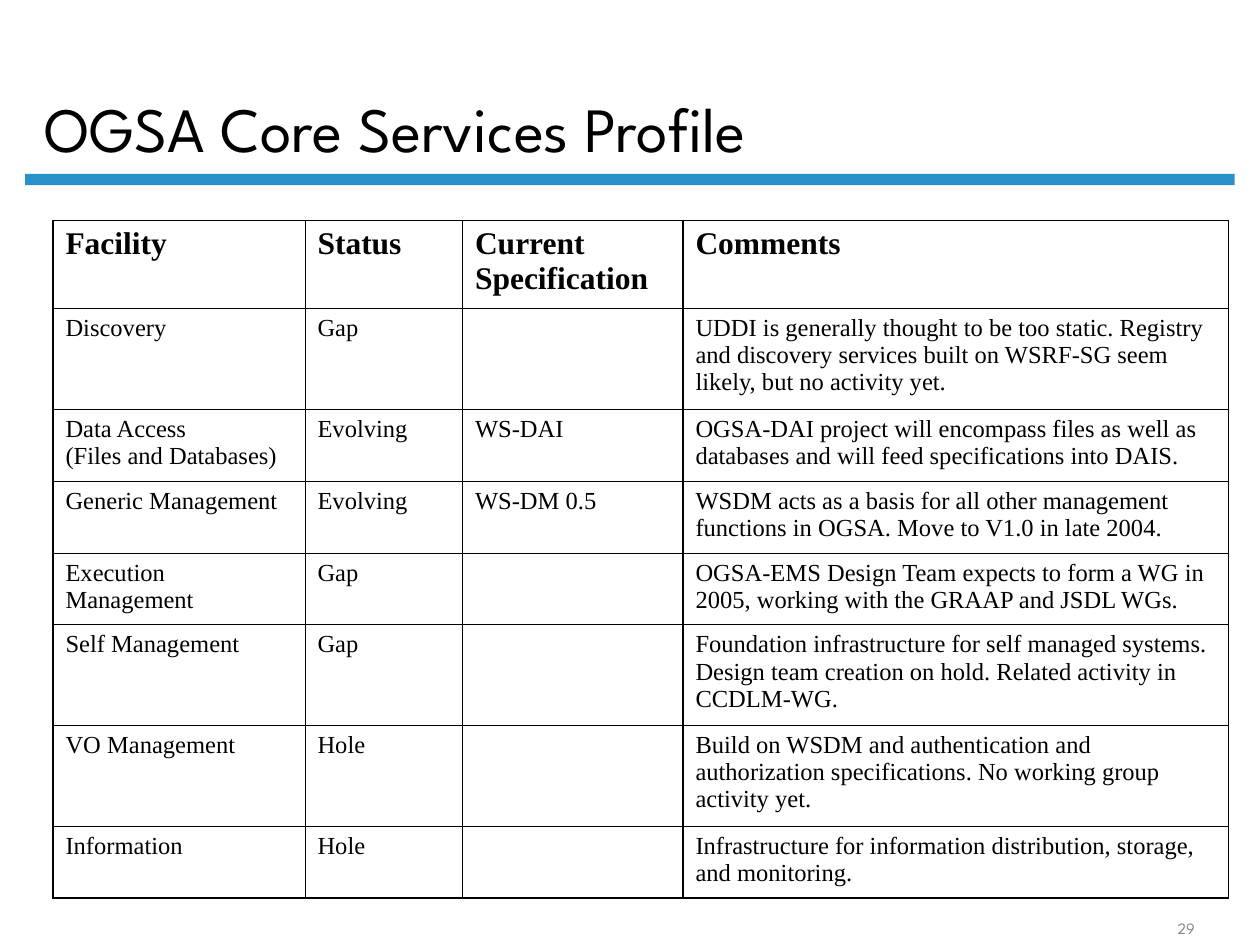
from lxml.etree import SubElement
from pptx import Presentation
from pptx.dml.color import RGBColor
from pptx.enum.shapes import MSO_SHAPE as Shape
from pptx.enum.text import MSO_ANCHOR as Anchor, MSO_AUTO_SIZE as AutoSize, PP_ALIGN as Align
from pptx.oxml.ns import qn
from pptx.util import Inches, Pt

BLACK = RGBColor(0x00, 0x00, 0x00)
BLUE = RGBColor(0x29, 0x90, 0xCA)
GRAY = RGBColor(0x84, 0x85, 0x89)

THIN, OUTER, DIVIDER = 0.45, 1.08, 1.47
COLUMN_WIDTHS = [2, 1.25, 1.75, 4.33]
ROW_HEIGHTS = [0.7, 0.8, 0.57, 0.57, 0.57, 0.8, 0.8, 0.57]
FACILITIES = [
    ("Facility", "Status", "Current Specification", "Comments"),
    ("Discovery", "Gap", "",
     "UDDI is generally thought to be too static. Registry and discovery "
     "services built on WSRF-SG seem likely, but no activity yet."),
    ("Data Access\n(Files and Databases)", "Evolving", "WS-DAI",
     "OGSA-DAI project will encompass files as well as databases and will "
     "feed specifications into DAIS."),
    ("Generic Management", "Evolving", "WS-DM 0.5",
     "WSDM acts as a basis for all other management functions in OGSA. "
     "Move to V1.0 in late 2004."),
    ("Execution Management", "Gap", "",
     "OGSA-EMS Design Team expects to form a WG in 2005, working with the "
     "GRAAP and JSDL WGs."),
    ("Self Management", "Gap", "",
     "Foundation infrastructure for self managed systems. Design team "
     "creation on hold. Related activity in CCDLM-WG."),
    ("VO Management", "Hole", "",
     "Build on WSDM and authentication and authorization specifications. "
     "No working group activity yet."),
    ("Information", "Hole", "",
     "Infrastructure for information distribution, storage, and monitoring."),
]


class SlideBuilder:
    heading_font = "League Spartan"
    table_font = "Times New Roman"

    def __init__(self, slide):
        self.slide = slide

    def style(self, paragraph, font_name, size, color=BLACK, bold=False, align=Align.LEFT):
        paragraph.alignment = align
        font = paragraph.font
        font.name, font.size, font.bold = font_name, Pt(size), bold
        font.color.rgb = color

    def title(self, text, left, top, width, height):
        title = self.slide.shapes.title
        title.left, title.top = Inches(left), Inches(top)
        title.width, title.height = Inches(width), Inches(height)
        frame = title.text_frame
        frame.text = text
        frame.auto_size = AutoSize.NONE
        frame.vertical_anchor = Anchor.BOTTOM
        heading = frame.paragraphs[0]
        heading.line_spacing = 0.9
        self.style(heading, self.heading_font, 36)

    def rule(self, left, top, width, height):
        rule = self.slide.shapes.add_shape(
            Shape.RECTANGLE, Inches(left), Inches(top), Inches(width), Inches(height))
        rule.shadow.inherit = False
        rule.fill.solid()
        rule.fill.fore_color.rgb = BLUE
        rule.line.fill.background()

    def page_number(self, text, left, top, width, height):
        box = self.slide.shapes.add_textbox(
            Inches(left), Inches(top), Inches(width), Inches(height))
        frame = box.text_frame
        frame.word_wrap = True
        frame.vertical_anchor = Anchor.BOTTOM
        frame.text = text
        self.style(frame.paragraphs[0], self.heading_font, 9, GRAY, align=Align.CENTER)

    def borders(self, cell, **widths):
        properties = cell._tc.get_or_add_tcPr()
        for position, (side, width) in enumerate(widths.items()):
            line = SubElement(properties, qn(f"a:ln{side}"), w=str(Pt(width)))
            fill = SubElement(line, qn("a:solidFill"))
            SubElement(fill, qn("a:srgbClr"), val=str(BLACK))
            properties.insert(position, line)

    def table(self, rows, column_widths, row_heights, left, top):
        last_row, last_column = len(rows) - 1, len(column_widths) - 1
        table = self.slide.shapes.add_table(
            len(rows), len(column_widths), Inches(left), Inches(top),
            Inches(sum(column_widths)), Inches(sum(row_heights))).table
        table.horz_banding = False
        for column, width in zip(table.columns, column_widths):
            column.width = Inches(width)
        for row, height in zip(table.rows, row_heights):
            row.height = Inches(height)

        verticals = [OUTER, THIN, THIN, DIVIDER, OUTER]
        for r, values in enumerate(rows):
            for c, value in enumerate(values):
                cell = table.cell(r, c)
                cell.text = value
                cell.fill.background()
                for paragraph in cell.text_frame.paragraphs:
                    self.style(paragraph, self.table_font, 18 if r == 0 else 14, bold=r == 0)
                self.borders(cell, L=verticals[c], R=verticals[c + 1],
                             T=OUTER if r == 0 else THIN,
                             B=OUTER if r == last_row else THIN)


def main():
    presentation = Presentation()
    presentation.slide_width, presentation.slide_height = Inches(10), Inches(7.5)
    builder = SlideBuilder(presentation.slides.add_slide(presentation.slide_layouts[5]))
    builder.rule(0.2, 1.38, 9.6, 0.09)
    builder.title("OGSA Core Services Profile", 0.25, 0.12, 8.56, 1.25)
    builder.table(FACILITIES, COLUMN_WIDTHS, ROW_HEIGHTS, 0.42, 1.75)
    builder.page_number("29", 9, 7.25, 0.83, 0.24)
    presentation.save("out.pptx")


if __name__ == "__main__":
    main()
